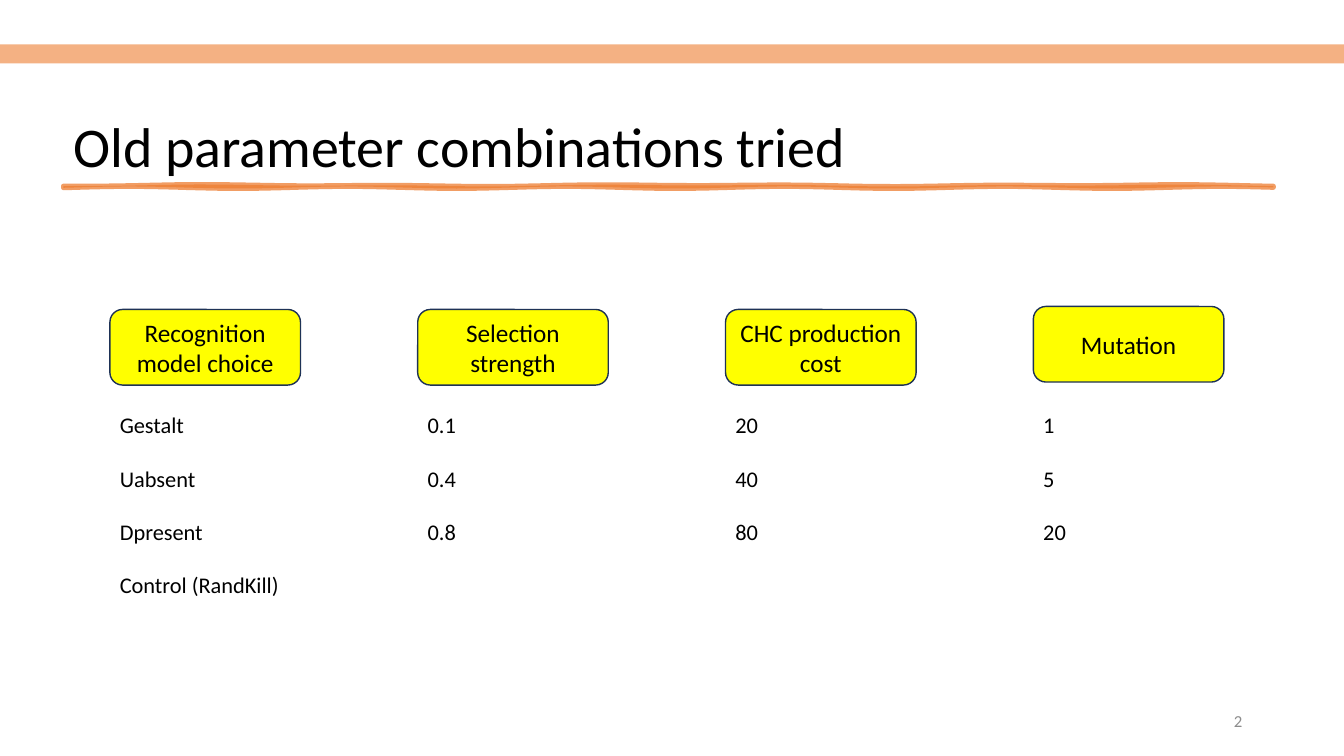
from math import sin

from lxml.etree import SubElement
from pptx import Presentation
from pptx.dml.color import RGBColor
from pptx.enum.shapes import MSO_SHAPE
from pptx.enum.text import MSO_ANCHOR, PP_ALIGN
from pptx.oxml.ns import qn
from pptx.util import Inches, Pt

BLACK = RGBColor(0x00, 0x00, 0x00)
GRAY = RGBColor(0x8C, 0x8C, 0x8C)
ORANGE = RGBColor(0xED, 0x7D, 0x31)
PEACH = RGBColor(0xF4, 0xB1, 0x83)
YELLOW = RGBColor(0xFF, 0xFF, 0x00)
NAVY = RGBColor(0x1E, 0x32, 0x56)

COLUMNS = [
    ("Recognition model choice", 3.07, ["Gestalt", "Uabsent", "Dpresent", "Control (RandKill)"]),
    ("Selection strength", 3.07, ["0.1", "0.4", "0.8"]),
    ("CHC production cost", 3.07, ["20", "40", "80"]),
    ("Mutation", 3.04, ["1", "5", "20"]),
]


def write(tf, *lines, size=16, color=BLACK, align=PP_ALIGN.LEFT,
          anchor=MSO_ANCHOR.TOP, gap=0, spacing=None):
    tf.word_wrap = True
    tf.vertical_anchor = anchor
    for i, line in enumerate(lines):
        p = tf.add_paragraph() if i else tf.paragraphs[0]
        p.alignment = align
        p.line_spacing = spacing
        p.space_before = Pt(gap if i else 0)
        r = p.add_run()
        r.text = line
        r.font.name = "Calibri"
        r.font.size = Pt(size)
        r.font.color.rgb = color


class Deck:
    """Holds the presentation, its current slide and the drawing style."""

    def __init__(self):
        self.prs = Presentation()
        self.prs.slide_width = Inches(13.33)
        self.prs.slide_height = Inches(7.5)
        self.s = self.prs.slides.add_slide(self.prs.slide_layouts[6])

    def text(self, x, y, w, h, *lines, **fmt):
        sp = self.s.shapes.add_textbox(Inches(x), Inches(y), Inches(w), Inches(h))
        write(sp.text_frame, *lines, **fmt)

    def paint(self, sp, fill, line=None, width=1):
        sp.shadow.inherit = False
        sp.fill.solid()
        sp.fill.fore_color.rgb = fill
        if line is None:
            sp.line.fill.background()
        else:
            sp.line.color.rgb = line
            sp.line.width = Pt(width)

    def shape(self, kind, x, y, w, h, fill, line=None):
        sp = self.s.shapes.add_shape(kind, Inches(x), Inches(y), Inches(w), Inches(h))
        self.paint(sp, fill, line)
        return sp

    def header(self, x, y, label):
        sp = self.shape(MSO_SHAPE.ROUNDED_RECTANGLE, x, y, 1.89, 0.75, YELLOW, NAVY)
        write(sp.text_frame, label, size=18, align=PP_ALIGN.CENTER, anchor=MSO_ANCHOR.MIDDLE)

    def brush_line(self, x, y, w, thickness):
        steps = 120
        xs = [x + w * i / steps for i in range(steps + 1)]
        top = [(px, y + 0.01 * sin(2.3 * px) * sin(0.9 * px)) for px in xs]
        bottom = [(px, y + thickness + 0.01 * sin(2.9 * px + 1)) for px in xs]
        outline = [(Inches(px), Inches(py)) for px, py in top + bottom[::-1]]
        fb = self.s.shapes.build_freeform(*outline[0])
        fb.add_line_segments(outline[1:], close=True)
        sp = fb.convert_to_shape()
        self.paint(sp, ORANGE, ORANGE, 3.5)
        for clr in sp._element.spPr.iter(qn("a:srgbClr")):
            SubElement(clr, qn("a:alpha"), val="75000")
        SubElement(sp.line._ln, qn("a:round"))


def main():
    deck = Deck()
    deck.text(0.63, 0.26, 12.05, 1.57, "Old parameter combinations tried",
              size=40, anchor=MSO_ANCHOR.BOTTOM, spacing=0.9)
    deck.brush_line(0.63, 1.84, 12, 0.02)
    deck.text(9.42, 6.95, 3, 0.4, "2", size=12, color=GRAY,
              align=PP_ALIGN.RIGHT, anchor=MSO_ANCHOR.MIDDLE)
    deck.shape(MSO_SHAPE.RECTANGLE, 0, 0.44, 13.33, 0.19, PEACH)
    for i, (label, top, values) in enumerate(COLUMNS):
        x = 1.09 + 3.053 * i
        deck.header(x, top, label)
        deck.text(x, 4.03, 2.17, 0.54 * len(values) - 0.17, *values, gap=19)
    deck.prs.save("out.pptx")


if __name__ == "__main__":
    main()
